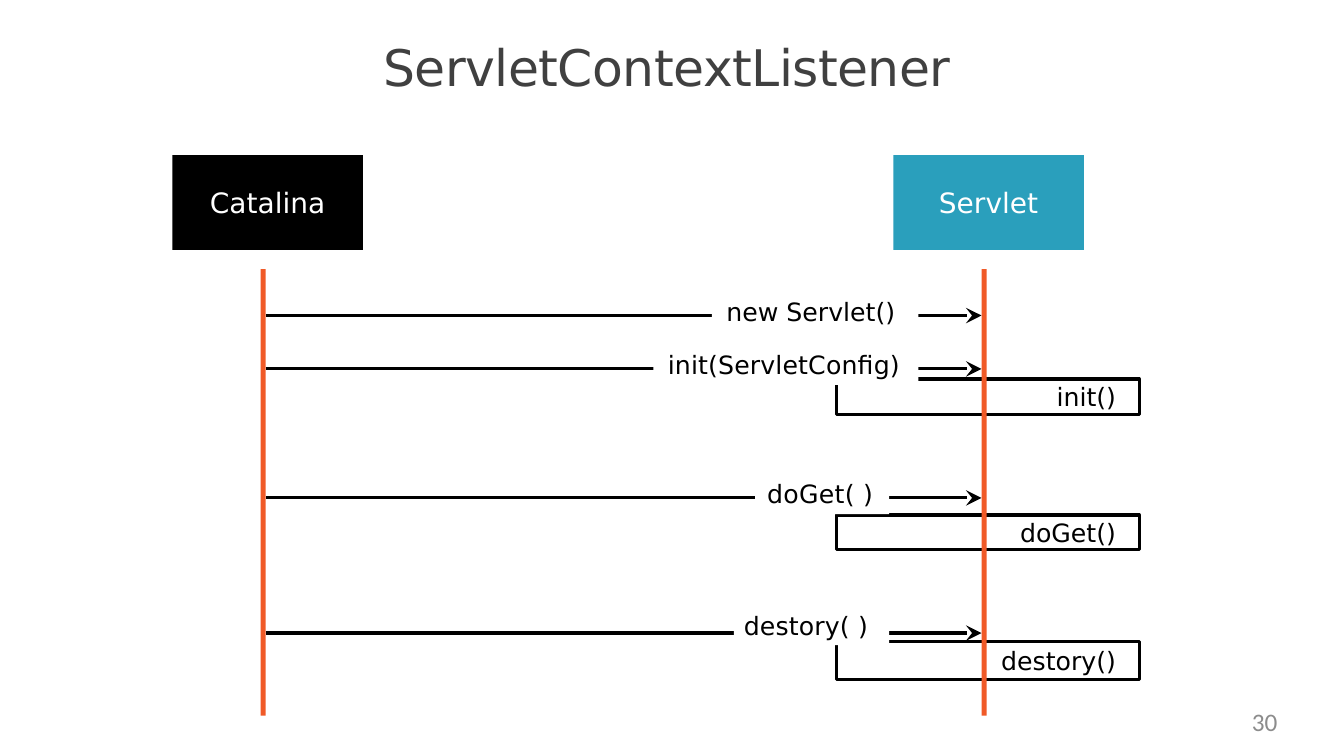
from lxml.etree import SubElement
from pptx import Presentation
from pptx.dml.color import RGBColor
from pptx.enum.shapes import MSO_CONNECTOR as Connector, MSO_SHAPE as Shape
from pptx.enum.text import MSO_ANCHOR as Anchor, PP_ALIGN as Align
from pptx.oxml.ns import qn
from pptx.util import Inches, Pt

BLACK = RGBColor(0x00, 0x00, 0x00)
WHITE = RGBColor(0xFF, 0xFF, 0xFF)
TEAL = RGBColor(0x2A, 0x9F, 0xBC)
ORANGE = RGBColor(0xF0, 0x5A, 0x28)
DARK_GRAY = RGBColor(0x40, 0x40, 0x40)
LIGHT_GRAY = RGBColor(0x8C, 0x8C, 0x8C)

CATALINA_X, SERVLET_X = 2.61, 9.76
LIFELINE_TOP, LIFELINE_BOTTOM, LIFELINE_WIDTH = 2.67, 7.1, 0.05
LABEL_HEIGHT = 0.4
SELF_CALL_LEFT, SELF_CALL_WIDTH = 8.3, 3

# text, arrow y, label left, top and right, gap right of the text, letter spacing
CALLS = [
    ("init(ServletConfig)", 3.66, 6.48, 3.42, 9.11, 0.18, 0.1),
    ("new Servlet()", 3.13, 7.06, 2.89, 9.11, 0.23, 0),
    ("destory( )", 6.28, 7.28, 6.0, 8.82, 0.21, 0.1),
    ("doGet( )", 4.94, 7.49, 4.7, 8.82, 0.16, 0.2),
]
# text, top, height
SELF_CALLS = [("doGet()", 5.11, 0.34), ("init()", 3.76, 0.35), ("destory()", 6.36, 0.38)]


def write(shape, text, *, size=18, color=BLACK, font="DejaVu Sans",
          align=Align.CENTER, spacing=0, right_gap=0):
    frame = shape.text_frame
    frame.word_wrap = True
    frame.vertical_anchor = Anchor.MIDDLE
    frame.margin_left = frame.margin_top = frame.margin_bottom = 0
    frame.margin_right = Inches(right_gap)
    paragraph = frame.paragraphs[0]
    paragraph.alignment = align
    run = paragraph.add_run()
    run.text = text
    run.font.name = font
    run.font.size = Pt(size)
    run.font.color.rgb = color
    if spacing:
        run.font._element.set("spc", str(round(spacing * 100)))


class SequenceDiagram:
    def __init__(self, slide, line_width=2.25):
        self.slide = slide
        self.line_width = Pt(line_width)

    def text_box(self, text, left, top, width, height, **text_format):
        box = self.slide.shapes.add_textbox(
            Inches(left), Inches(top), Inches(width), Inches(height))
        write(box, text, **text_format)

    def rectangle(self, left, top, width, height, fill=None, outline=None):
        shape = self.slide.shapes.add_shape(
            Shape.RECTANGLE, Inches(left), Inches(top), Inches(width), Inches(height))
        shape.shadow.inherit = False
        if fill is None:
            shape.fill.background()
        else:
            shape.fill.solid()
            shape.fill.fore_color.rgb = fill
        if outline is None:
            shape.line.fill.background()
        else:
            shape.line.color.rgb = outline
            shape.line.width = self.line_width
        return shape

    def participant(self, text, left, fill):
        write(self.rectangle(left, 1.54, 1.89, 0.94, fill), text, size=20, color=WHITE)

    def lifeline(self, x):
        self.rectangle(x - LIFELINE_WIDTH / 2, LIFELINE_TOP, LIFELINE_WIDTH,
                       LIFELINE_BOTTOM - LIFELINE_TOP, ORANGE)

    def self_call(self, text, top, height):
        box = self.rectangle(SELF_CALL_LEFT, top, SELF_CALL_WIDTH, height, outline=BLACK)
        write(box, text, align=Align.RIGHT, right_gap=0.23)

    def arrow(self, y):
        half = LIFELINE_WIDTH / 2
        connector = self.slide.shapes.add_connector(
            Connector.STRAIGHT, Inches(CATALINA_X + half), Inches(y),
            Inches(SERVLET_X - half), Inches(y))
        connector.line.color.rgb = BLACK
        connector.line.width = self.line_width
        SubElement(connector.line._get_or_add_ln(), qn("a:tailEnd"),
                   type="stealth", w="lg", len="lg")
        SubElement(connector._element.spPr, qn("a:effectLst"))

    def call(self, text, y, left, top, right, right_gap, spacing):
        """Draw an arrow whose white label interrupts its line."""
        self.arrow(y)
        label = self.rectangle(left, top, right - left, LABEL_HEIGHT, WHITE)
        write(label, text, align=Align.RIGHT, right_gap=right_gap, spacing=spacing)


def main():
    presentation = Presentation()
    presentation.slide_width = Inches(13.33)
    presentation.slide_height = Inches(7.5)
    slide = presentation.slides.add_slide(presentation.slide_layouts[6])
    diagram = SequenceDiagram(slide)

    diagram.text_box("ServletContextListener", 3.5, 0.34, 6.23, 0.63,
                     size=36, color=DARK_GRAY, spacing=-0.4)
    for self_call in SELF_CALLS:
        diagram.self_call(*self_call)
    for call in CALLS:
        diagram.call(*call)
    diagram.participant("Catalina", 1.71, BLACK)
    diagram.participant("Servlet", 8.86, TEAL)
    for x in (CATALINA_X, SERVLET_X):
        diagram.lifeline(x)
    diagram.text_box("30", 9.6, 6.97, 3.07, 0.38, font="Calibri",
                     color=LIGHT_GRAY, align=Align.RIGHT)

    presentation.save("out.pptx")


if __name__ == "__main__":
    main()
